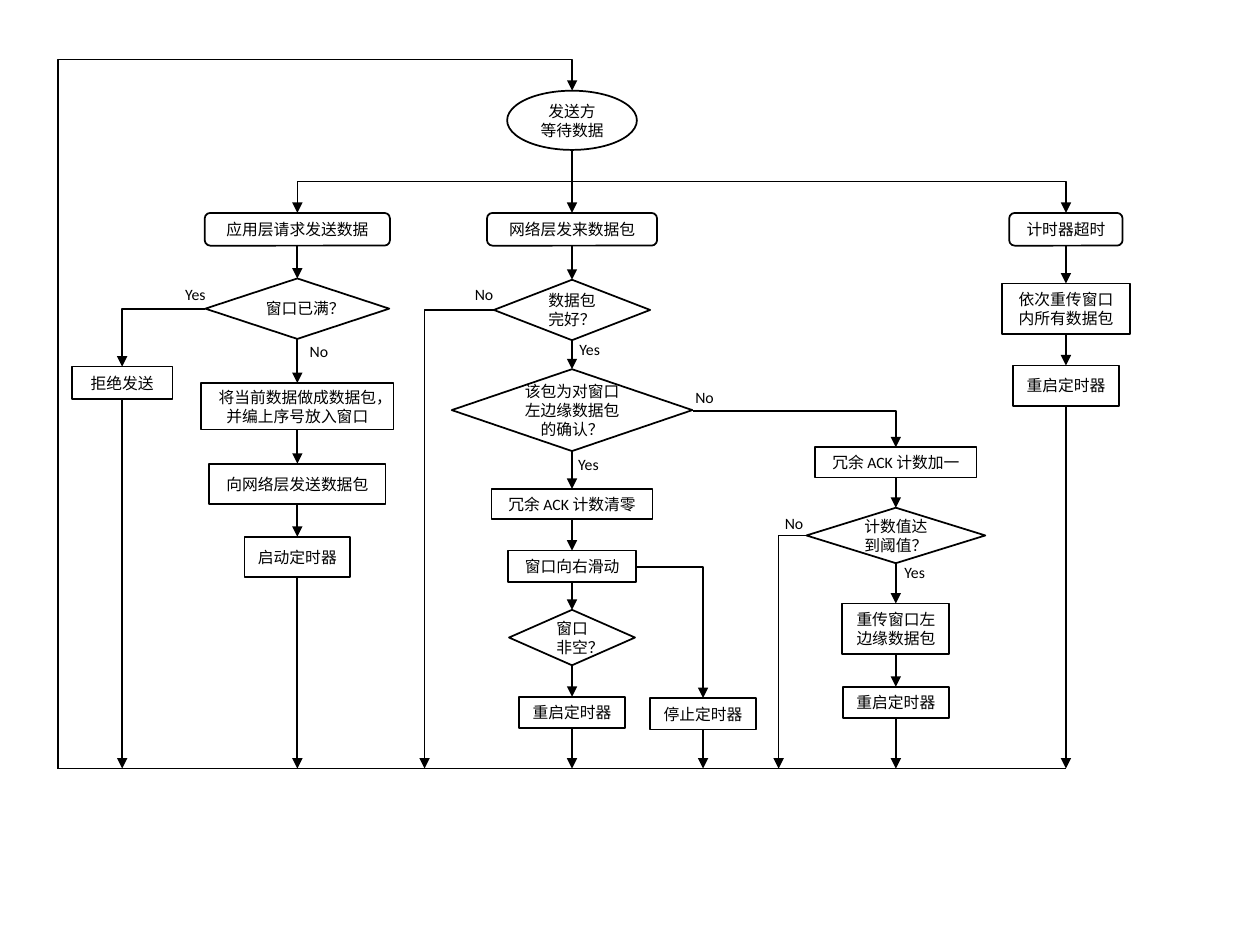
"""Flowchart of the sender side of a sliding-window protocol."""
from lxml.etree import SubElement
from pptx import Presentation
from pptx.dml.color import RGBColor
from pptx.enum.shapes import MSO_CONNECTOR as CONN, MSO_SHAPE as SHAPE
from pptx.enum.text import MSO_ANCHOR, MSO_AUTO_SIZE, PP_ALIGN
from pptx.oxml.ns import qn
from pptx.util import Inches, Pt

COLORS = {"ink": "000000", "paper": "FFFFFF"}
INK = RGBColor.from_string(COLORS["ink"])
PAPER = RGBColor.from_string(COLORS["paper"])
RECT, ROUND = SHAPE.RECTANGLE, SHAPE.ROUNDED_RECTANGLE
DECISION, OVAL = SHAPE.FLOWCHART_DECISION, SHAPE.OVAL
BASE_Y = 6.1

prs = Presentation()
prs.slide_width, prs.slide_height = Inches(10), Inches(7.5)
s = prs.slides.add_slide(prs.slide_layouts[6])


def set_text(sp, text, align):
    tf = sp.text_frame
    tf.text = text
    for p in tf.paragraphs:
        p.alignment = align
        for r in p.runs:
            r.font.name, r.font.size = "Calibri", Pt(9)
            r.font.color.rgb = INK


def connect(kind, x1, y1, x2, y2, arrow=True):
    c = s.shapes.add_connector(kind, Inches(x1), Inches(y1), Inches(x2), Inches(y2))
    c.line.color.rgb, c.line.width = INK, Pt(1)
    if arrow:
        SubElement(c.line._get_or_add_ln(), qn("a:tailEnd"), type="triangle")
    spPr = c._element.spPr
    SubElement(spPr, qn("a:effectLst"))
    return spPr


# column centre -> nodes from top to bottom: (shape, top, width, height, text)
columns = {
    0.97: [(RECT, 2.91, 0.8, 0.26, "拒绝发送")],
    2.36: [
        (ROUND, 1.69, 1.47, 0.26, "应用层请求发送数据"),
        (DECISION, 2.21, 1.46, 0.48, "窗口已满？"),
        (RECT, 3.04, 1.53, 0.37, "将当前数据做成数据包，\n并编上序号放入窗口"),
        (RECT, 3.68, 1.4, 0.32, "向网络层发送数据包"),
        (RECT, 4.26, 0.84, 0.32, "启动定时器"),
    ],
    4.54: [
        (OVAL, 0.72, 1.03, 0.47, "发送方\n等待数据"),
        (ROUND, 1.69, 1.35, 0.26, "网络层发来数据包"),
        (DECISION, 2.22, 1.24, 0.48, "数据包\n完好？"),
        (DECISION, 2.93, 1.91, 0.65, "该包为对窗口\n左边缘数据包\n的确认？"),
        (RECT, 3.88, 1.28, 0.24, "冗余 ACK 计数清零"),
        (RECT, 4.37, 1.02, 0.25, "窗口向右滑动"),
        (DECISION, 4.84, 1, 0.44, "窗口\n非空？"),
        (RECT, 5.53, 0.84, 0.25, "重启定时器"),
    ],
    5.58: [(RECT, 5.54, 0.84, 0.25, "停止定时器")],
    7.11: [
        (RECT, 3.55, 1.28, 0.24, "冗余 ACK 计数加一"),
        (DECISION, 4.03, 1.42, 0.44, "计数值达\n到阈值？"),
        (RECT, 4.79, 0.85, 0.4, "重传窗口左\n边缘数据包"),
        (RECT, 5.45, 0.84, 0.25, "重启定时器"),
    ],
    8.46: [
        (ROUND, 1.69, 0.9, 0.26, "计时器超时"),
        (RECT, 2.25, 1.02, 0.4, "依次重传窗口\n内所有数据包"),
        (RECT, 2.9, 0.84, 0.32, "重启定时器"),
    ],
}
for x, nodes in columns.items():
    next_tops = [node[1] for node in nodes[1:]] + [BASE_Y]
    for (shape, top, w, h, text), next_top in zip(nodes, next_tops):
        sp = s.shapes.add_shape(shape, Inches(x - w / 2), Inches(top), Inches(w), Inches(h))
        sp.shadow.inherit = False
        sp.fill.solid()
        sp.fill.fore_color.rgb = PAPER
        sp.line.color.rgb, sp.line.width = INK, Pt(1)
        sp.text_frame.word_wrap = True
        sp.text_frame.vertical_anchor = MSO_ANCHOR.MIDDLE
        set_text(sp, text, PP_ALIGN.CENTER)
        connect(CONN.STRAIGHT, x, top + h, x, next_top)

connect(CONN.STRAIGHT, 0.46, BASE_Y, 8.46, BASE_Y, arrow=False)

side_branches = [
    (1.63, 2.45, 0.97, 2.91),
    (3.92, 2.46, 3.37, BASE_Y),
    (5.5, 3.26, 7.11, 3.55),
    (5.05, 4.5, 5.58, 5.54),
    (6.4, 4.25, 6.18, BASE_Y),
]
for ends in side_branches:
    spPr = connect(CONN.ELBOW, *ends)
    spPr.find(qn("a:prstGeom")).set("prst", "bentConnector2")

# vertical-first elbows: x1, y1, x2, y2, rotation, flips, bend position
trunk_elbows = [
    (4.54, 1.19, 2.36, 1.69, 90, "", 50000),
    (4.54, 1.19, 8.46, 1.69, 270, "H", 50000),
    (0.46, BASE_Y, 4.54, 0.72, 90, "HV", 104600),
]
for x1, y1, x2, y2, rotation, flips, bend in trunk_elbows:
    cx, cy = (x1 + x2) / 2, (y1 + y2) / 2
    half_w, half_h = abs(y2 - y1) / 2, abs(x2 - x1) / 2
    spPr = connect(CONN.ELBOW, cx - half_w, cy - half_h, cx + half_w, cy + half_h)
    xfrm = spPr.find(qn("a:xfrm"))
    xfrm.set("rot", str(rotation * 60000))
    for flip in flips:
        xfrm.set("flip" + flip, "1")
    geom = spPr.find(qn("a:prstGeom"))
    av = geom.find(qn("a:avLst"))
    SubElement(av, qn("a:gd"), name="adj1", fmla=f"val {bend}")

labels = [
    ("Yes", 1.37, 2.21), ("No", 2.36, 2.66), ("No", 3.67, 2.21),
    ("Yes", 4.5, 2.65), ("No", 5.42, 3.03), ("Yes", 4.49, 3.56),
    ("No", 6.13, 4.03), ("Yes", 7.08, 4.42),
]
for text, x, y in labels:
    w = 0.38 if text == "Yes" else 0.35
    tb = s.shapes.add_textbox(Inches(x), Inches(y), Inches(w), Inches(0.25))
    tb.text_frame.word_wrap = False
    tb.text_frame.auto_size = MSO_AUTO_SIZE.SHAPE_TO_FIT_TEXT
    set_text(tb, text, PP_ALIGN.LEFT)

prs.save("out.pptx")
